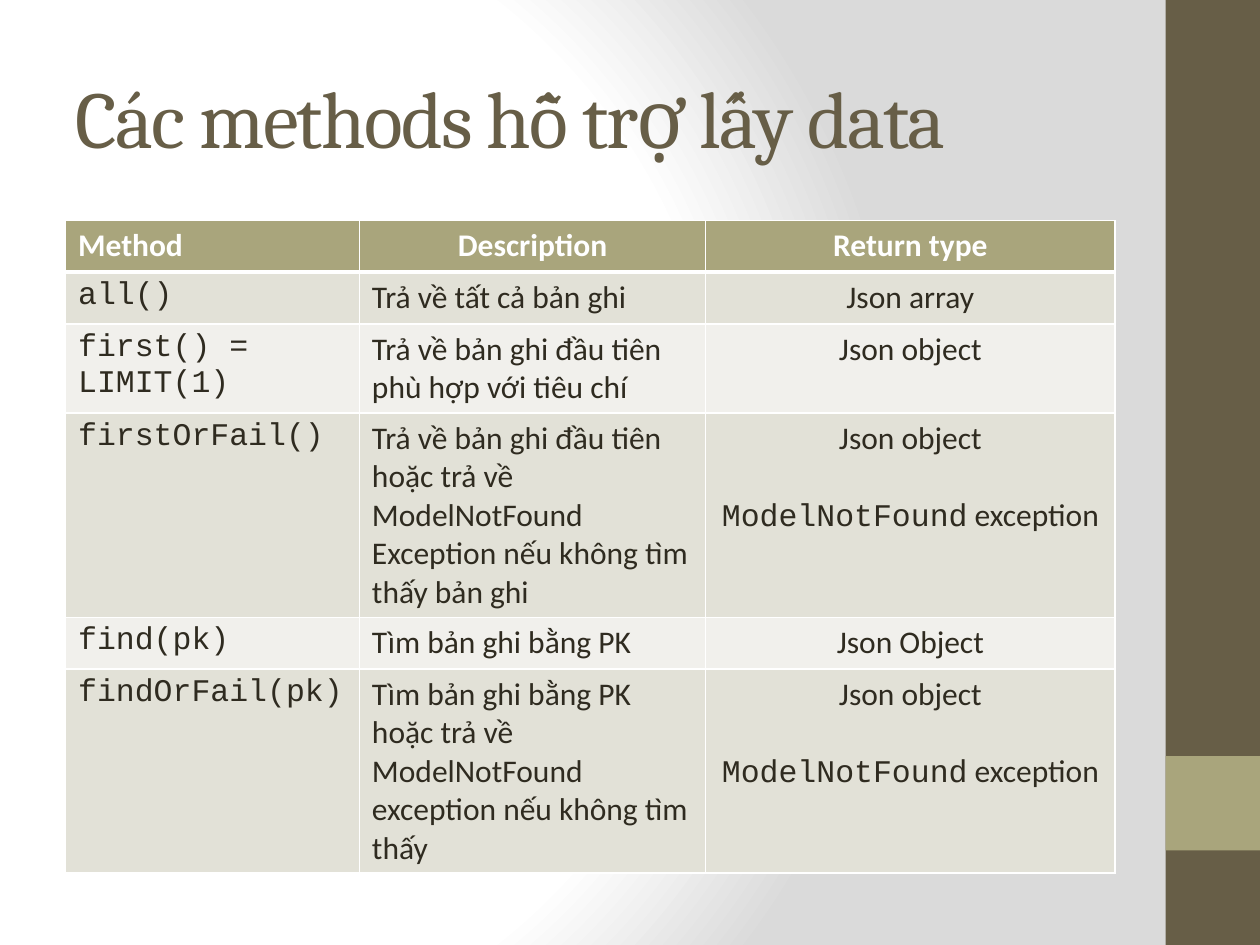
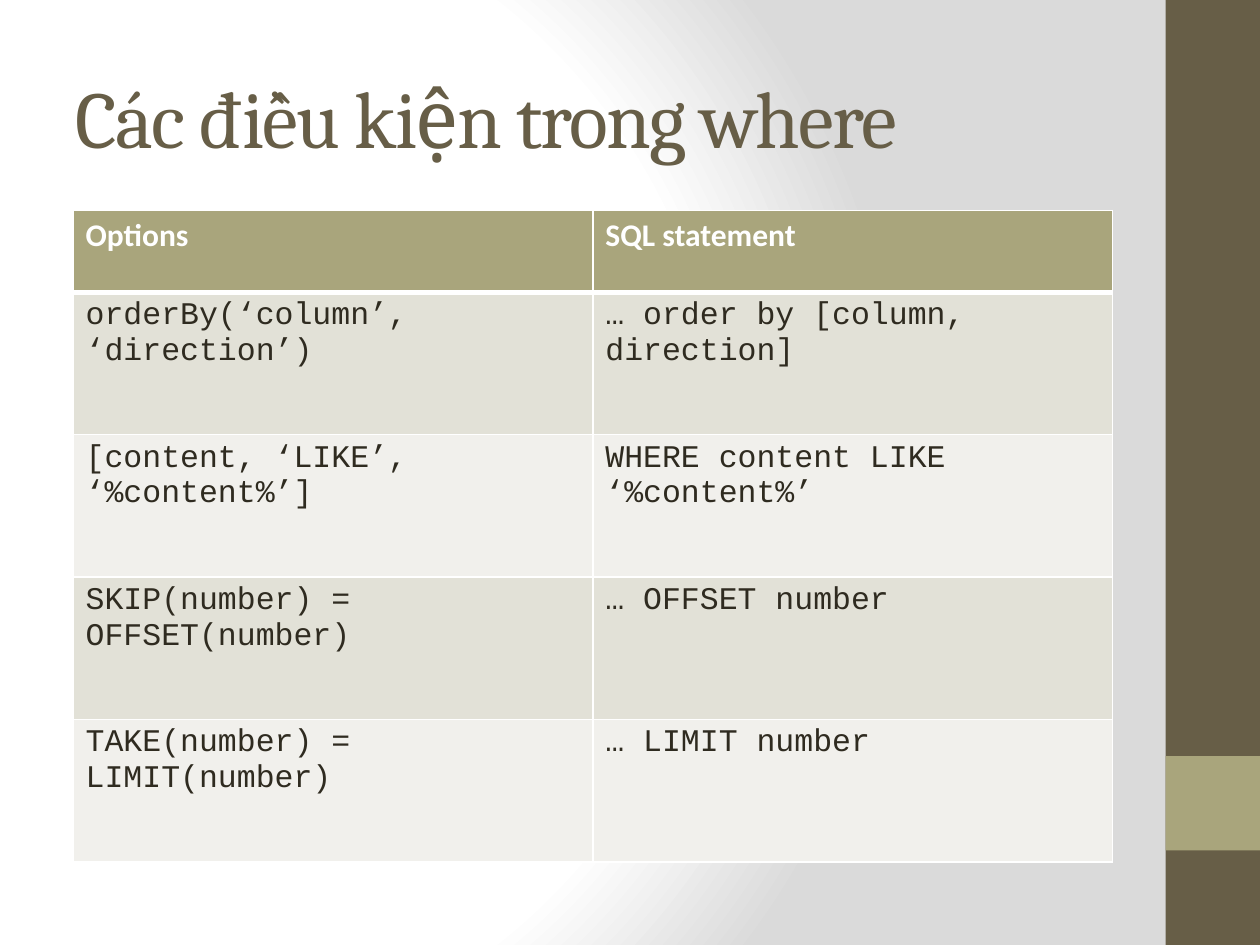
from dataclasses import dataclass
from typing import Any

from lxml import etree
from pptx import Presentation
from pptx.dml.color import RGBColor
from pptx.enum.shapes import MSO_SHAPE
from pptx.enum.text import MSO_ANCHOR, PP_ALIGN
from pptx.oxml import parse_xml
from pptx.oxml.ns import qn
from pptx.util import Inches, Pt

RECTANGLE = MSO_SHAPE.RECTANGLE
MIDDLE = MSO_ANCHOR.MIDDLE
LEFT, CENTER = PP_ALIGN.LEFT, PP_ALIGN.CENTER

WHITE = RGBColor(0xFF, 0xFF, 0xFF)
BACKDROP_GRAY = RGBColor(0xDA, 0xDA, 0xDA)
BROWN = RGBColor(0x67, 0x5E, 0x47)
OLIVE = RGBColor(0xA9, 0xA5, 0x7C)
INK = RGBColor(0x2F, 0x2B, 0x20)
ROW_FILLS = (RGBColor(0xE2, 0xE1, 0xD7), RGBColor(0xF1, 0xF0, 0xEC))

TITLE_FONT, BODY_FONT, CODE_FONT = "Cambria", "Calibri", "Courier New"
TITLE_SIZE, TABLE_SIZE = 46, 18
LINE_GAP = Pt(22)

PAGE_WIDTH, PAGE_HEIGHT = Inches(10), Inches(7.5)
BAND_WIDTH = PAGE_WIDTH * 0.075
TITLE_BOX = (Inches(0.5), Inches(0.3), Inches(8.33), Inches(1.25))
METHODS_BOX = (Inches(0.52), Inches(1.75), Inches(8.33))
OPTIONS_BOX = (Inches(0.58), Inches(1.67), Inches(8.25))


@dataclass
class Column:
    heading: str
    share: float
    font: str
    heading_align: Any = LEFT
    body_align: Any = LEFT


METHOD_COLUMNS = (
    Column("Method", 0.28, CODE_FONT),
    Column("Description", 0.33, BODY_FONT, CENTER),
    Column("Return type", 0.39, BODY_FONT, CENTER, CENTER),
)
# A cell is a text, or a list of paragraphs that are lists of (text, font).
OBJECT_OR_EXCEPTION = [
    [("Json object", BODY_FONT)],
    [("ModelNotFound", CODE_FONT), (" exception", BODY_FONT)],
]
METHOD_ROWS = (
    ("all()", "Trả về tất cả bản ghi", "Json array"),
    ("first() = LIMIT(1)", "Trả về bản ghi đầu tiên phù hợp với tiêu chí",
     "Json object"),
    ("firstOrFail()",
     "Trả về bản ghi đầu tiên hoặc trả về ModelNotFound Exception "
     "nếu không tìm thấy bản ghi", OBJECT_OR_EXCEPTION),
    ("find(pk)", "Tìm bản ghi bằng PK", "Json Object"),
    ("findOrFail(pk)",
     "Tìm bản ghi bằng PK hoặc trả về ModelNotFound exception "
     "nếu không tìm thấy", OBJECT_OR_EXCEPTION),
)
METHOD_HEIGHTS = (0.41, 0.41, 0.71, 1.62, 0.41, 1.62)

OPTION_COLUMNS = (
    Column("Options", 0.5, CODE_FONT),
    Column("SQL statement", 0.5, CODE_FONT),
)
OPTION_ROWS = (
    ("orderBy(‘column’, ‘direction’)", "… order by [column, direction]"),
    ("[content, ‘LIKE’, ‘%content%’]", "WHERE content LIKE ‘%content%’"),
    ("SKIP(number) = OFFSET(number)", "… OFFSET number"),
    ("TAKE(number) = LIMIT(number)", "… LIMIT number"),
)
OPTION_HEIGHTS = (0.65,) + (1.13,) * len(OPTION_ROWS)


def add_run(para, text, font, size, color, bold=False):
    span = para.add_run()
    span.text = text
    span.font.name = font
    span.font.size = Pt(size)
    span.font.color.rgb = color
    span.font.bold = bold
    return span


def paint_background(page):
    page.background.fill.solid()
    properties = page.background._cSld.find(f"{qn('p:bg')}/{qn('p:bgPr')}")
    stops = "".join(
        f'<a:gs pos="{share * 1000}"><a:srgbClr val="{color}"/></a:gs>'
        for share, color in ((0, WHITE), (75, WHITE), (100, BACKDROP_GRAY)))
    gradient = parse_xml(
        '<a:gradFill xmlns:a="http://schemas.openxmlformats.org/drawingml/2006/main"'
        f' rotWithShape="1"><a:gsLst>{stops}</a:gsLst><a:path path="circle">'
        '<a:fillToRect l="20000" t="50000" r="100000" b="50000"/>'
        '</a:path></a:gradFill>')
    properties.replace(properties.find(qn("a:solidFill")), gradient)


def add_side_band(page):
    left = PAGE_WIDTH - BAND_WIDTH
    for top, height, color in ((0, 1, BROWN), (0.8, 0.1, OLIVE)):
        band = page.shapes.add_shape(
            RECTANGLE, int(left), int(PAGE_HEIGHT * top),
            int(BAND_WIDTH), int(PAGE_HEIGHT * height))
        band.shadow.inherit = False
        band.fill.solid()
        band.fill.fore_color.rgb = color
        band.line.fill.background()


def add_title(page, box, text):
    frame = page.shapes.add_textbox(*box).text_frame
    frame.word_wrap = True
    frame.vertical_anchor = MIDDLE
    span = add_run(frame.paragraphs[0], text, TITLE_FONT, TITLE_SIZE, BROWN)
    span.font._element.set("spc", "-100")


def add_borders(cell, bottom):
    """Draw white edges, which the schema wants ahead of the cell's fill."""
    properties = cell._tc.get_or_add_tcPr()
    edges = (("L", 1), ("R", 1), ("T", 1), ("B", bottom))
    for index, (side, width) in enumerate(edges):
        line = etree.Element(qn(f"a:ln{side}"), w=str(Pt(width)))
        fill = etree.SubElement(line, qn("a:solidFill"))
        etree.SubElement(fill, qn("a:srgbClr"), val=str(WHITE))
        properties.insert(index, line)


def fill_cell(cell, content, column, fill, heading=False, bottom=1):
    cell.fill.solid()
    cell.fill.fore_color.rgb = fill
    add_borders(cell, bottom)
    font = BODY_FONT if heading else column.font
    paragraphs = [[(content, font)]] if isinstance(content, str) else content
    frame = cell.text_frame
    for index, spans in enumerate(paragraphs):
        para = frame.add_paragraph() if index else frame.paragraphs[0]
        para.alignment = column.heading_align if heading else column.body_align
        if index:
            para.space_before = LINE_GAP
        for text, span_font in spans:
            add_run(para, text, span_font, TABLE_SIZE,
                    WHITE if heading else INK, heading)


def add_grid(page, box, columns, rows, heights):
    left, top, width = box
    table = page.shapes.add_table(
        len(heights), len(columns), left, top, width,
        Inches(sum(heights))).table
    table.horz_banding = False
    for row, height in zip(table.rows, heights):
        row.height = Inches(height)
    for number, column in enumerate(columns):
        table.columns[number].width = int(width * column.share)
        fill_cell(table.cell(0, number), column.heading, column, OLIVE,
                  heading=True, bottom=3)
        for index, row in enumerate(rows):
            fill_cell(table.cell(index + 1, number), row[number], column,
                      ROW_FILLS[index % 2])
    for number in range(len(columns)):
        edge = table.cell(1, number)._tc.tcPr.find(qn("a:lnT"))
        edge.set("w", str(Pt(3)))


def add_table_page(deck, title, box, columns, rows, heights):
    page = deck.slides.add_slide(deck.slide_layouts[6])
    paint_background(page)
    add_side_band(page)
    add_title(page, TITLE_BOX, title)
    add_grid(page, box, columns, rows, heights)


def main():
    deck = Presentation()
    deck.slide_width, deck.slide_height = PAGE_WIDTH, PAGE_HEIGHT
    add_table_page(deck, "Các methods hỗ trợ lấy data", METHODS_BOX,
                   METHOD_COLUMNS, METHOD_ROWS, METHOD_HEIGHTS)
    add_table_page(deck, "Các điều kiện trong where", OPTIONS_BOX,
                   OPTION_COLUMNS, OPTION_ROWS, OPTION_HEIGHTS)
    deck.save("out.pptx")


if __name__ == "__main__":
    main()
